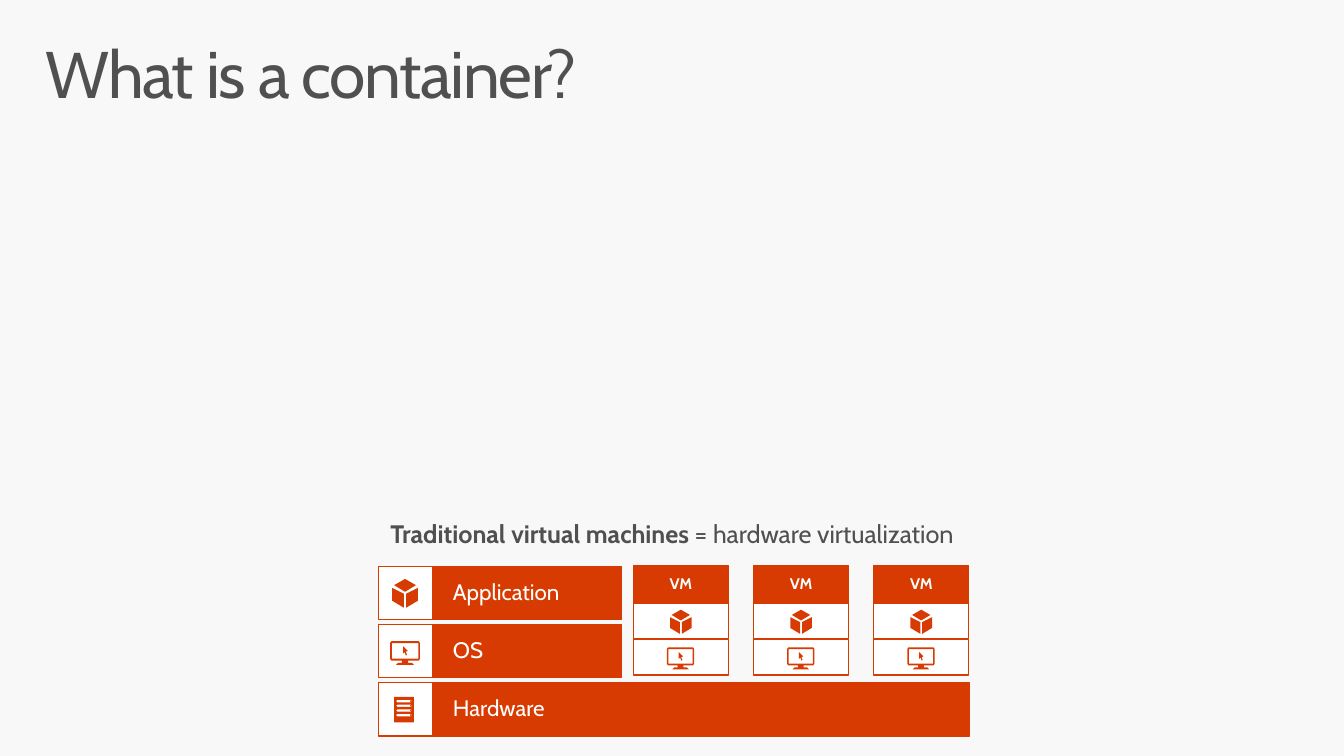
from pptx import Presentation
from pptx.dml.color import RGBColor
from pptx.enum.shapes import MSO_SHAPE
from pptx.enum.text import MSO_ANCHOR, PP_ALIGN
from pptx.util import Cm, Pt

ORANGE = RGBColor(0xD8, 0x3B, 0x01)
WHITE = RGBColor(0xFF, 0xFF, 0xFF)
GRAY = RGBColor(0x50, 0x50, 0x50)
BACKGROUND = RGBColor(0xF8, 0xF8, 0xF8)

CUBE = [
    [[(30, 38), (30, 74), (0, 56), (0, 23)]],
    [[(36, 38), (36, 74), (66, 56), (66, 23)]],
    [[(33, 33), (5, 16), (33, 0), (61, 16)]],
]
MONITOR = [
    [
        [(3, 0), (73, 0), (76, 4), (76, 46), (73, 50), (46, 50), (46, 56), (56, 56),
         (61, 61), (15, 61), (20, 56), (30, 56), (30, 50), (3, 50), (0, 46), (0, 4)],
        [(4, 5), (4, 45), (72, 45), (72, 5)],
    ],
    [[(33, 13), (45, 25), (40, 27), (43, 35), (40, 37), (37, 28), (33, 32)]],
]
SLOT_TOPS = [8 + 12 * i for i in range(4)]
SERVER = [
    [[(0, 0), (0, 66), (51, 66), (51, 0)]]
    + [[(8, y), (43, y), (46, y + 3), (43, y + 6), (8, y + 6), (5, y + 3)]
       for y in SLOT_TOPS],
]


class Deck:
    """Holds the style and the current slide, and draws its elements."""

    font = "Cabin"

    def __init__(self, slide):
        self.slide = slide
        fill = slide.background.fill
        fill.solid()
        fill.fore_color.rgb = BACKGROUND

    def label(self, sp, runs, size, color, insets, align=PP_ALIGN.LEFT,
              anchor=MSO_ANCHOR.TOP, after=0, spacing=0):
        tf = sp.text_frame
        tf.word_wrap = True
        tf.vertical_anchor = anchor
        tf.margin_left, tf.margin_top, tf.margin_right, tf.margin_bottom = map(Cm, insets)
        p = tf.paragraphs[0]
        p.alignment = align
        p.line_spacing = 0.9
        p.space_after = Pt(after)
        for text, bold in runs:
            r = p.add_run()
            r.text = text
            r.font.name = self.font
            r.font.size = Pt(size)
            r.font.bold = bold
            r.font.color.rgb = color
            if spacing:
                r.font._element.set("spc", str(spacing))

    def text(self, x, y, w, h, runs, size, insets, **style):
        sp = self.slide.shapes.add_textbox(Cm(x), Cm(y), Cm(w), Cm(h))
        self.label(sp, runs, size, GRAY, insets, **style)

    def paint(self, sp, fill, outlined=False):
        sp.shadow.inherit = False
        sp.fill.solid()
        sp.fill.fore_color.rgb = fill
        if outlined:
            sp.line.color.rgb = ORANGE
            sp.line.width = Pt(0.85)
        else:
            sp.line.fill.background()

    def box(self, x, y, w, h, fill):
        sp = self.slide.shapes.add_shape(MSO_SHAPE.RECTANGLE, Cm(x), Cm(y), Cm(w), Cm(h))
        self.paint(sp, fill, outlined=True)
        return sp

    def dot(self, x, y, size):
        sp = self.slide.shapes.add_shape(MSO_SHAPE.OVAL, Cm(x), Cm(y), Cm(size), Cm(size))
        self.paint(sp, ORANGE)

    def icon(self, x, y, parts, factor=1.0):
        for contours in parts:
            builder = self.slide.shapes.build_freeform(
                *contours[0][0], scale=Cm(0.01) * factor)
            builder.add_line_segments(contours[0][1:], close=True)
            for contour in contours[1:]:
                builder.move_to(*contour[0])
                builder.add_line_segments(contour[1:], close=True)
            self.paint(builder.convert_to_shape(Cm(x), Cm(y)), ORANGE)

    def layer(self, y, w, name, icon, icon_x, icon_y):
        sp = self.box(11.13, y, w, 1.37, ORANGE)
        self.label(sp, [(name, False)], 16.3, WHITE, (0.51, 0.41, 0.51, 0.41),
                   anchor=MSO_ANCHOR.MIDDLE)
        self.box(9.73, y, 1.4, 1.37, WHITE)
        self.icon(icon_x, icon_y, icon)

    def machine(self, x):
        self.box(x, 15.5, 2.44, 0.92, WHITE)
        self.box(x, 16.43, 2.44, 0.92, WHITE)
        self.icon(x + 0.94, 15.67, CUBE, 0.84)
        self.icon(x + 0.86, 16.64, MONITOR, 0.92)
        sp = self.box(x, 14.53, 2.44, 0.97, ORANGE)
        self.label(sp, [("VM", True)], 11.2, WHITE, (0.13, 0.13, 0.13, 0.13),
                   align=PP_ALIGN.CENTER, anchor=MSO_ANCHOR.MIDDLE, after=6.1)


def main():
    prs = Presentation()
    prs.slide_width, prs.slide_height = Cm(34.54), Cm(19.43)
    s = Deck(prs.slides.add_slide(prs.slide_layouts[6]))

    s.text(0.76, 0.81, 33.02, 2.54, [("What is a container?", False)], 48,
           (0.41, 0.25, 0.41, 0.25), spacing=-100)
    s.text(0, 13.41, 34.54, 1.12,
           [("Traditional virtual machines ", True), ("= hardware virtualization", False)],
           18.4, (0.51, 0, 0.51, 0.41), align=PP_ALIGN.CENTER, after=6.1)

    layers = [
        ("Application", 4.85, CUBE, 10.08, 14.88),
        ("OS", 4.85, MONITOR, 10.03, 16.48),
        ("Hardware", 13.79, SERVER, 10.13, 17.91),
    ]
    for i, (name, w, icon, icon_x, icon_y) in enumerate(layers):
        s.layer(14.55 + 1.5 * i, w, name, icon, icon_x, icon_y)
    for top in SLOT_TOPS:
        s.dot(10.54, 17.92 + top / 100, 0.04)
    for i in range(3):
        s.machine(16.28 + 3.09 * i)

    prs.save("out.pptx")


if __name__ == "__main__":
    main()
